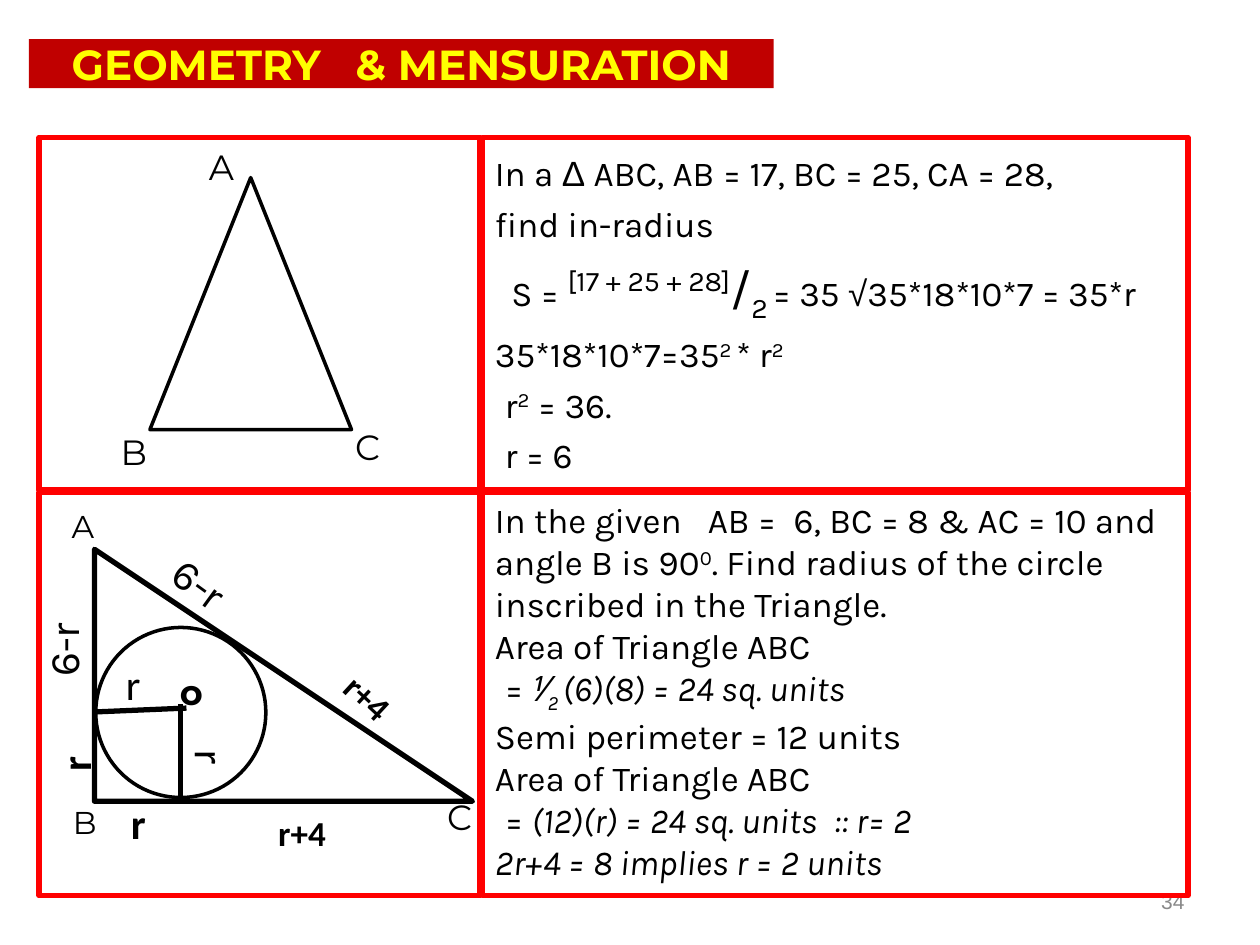
"""Build a geometry slide with two worked in-radius problems."""
from lxml import etree
from pptx import Presentation
from pptx.dml.color import RGBColor
from pptx.enum.shapes import MSO_CONNECTOR, MSO_SHAPE
from pptx.enum.text import MSO_ANCHOR, MSO_AUTO_SIZE, PP_ALIGN
from pptx.oxml.ns import qn
from pptx.util import Emu, Inches, Pt

BLACK = RGBColor(0x00, 0x00, 0x00)
RED = RGBColor(0xFF, 0x00, 0x00)
DARK_RED = RGBColor(0xC0, 0x00, 0x00)
YELLOW = RGBColor(0xFF, 0xFF, 0x00)
GREY = RGBColor(0x89, 0x89, 0x89)

RECTANGLE = MSO_SHAPE.RECTANGLE
TRIANGLE = MSO_SHAPE.ISOSCELES_TRIANGLE
OVAL = MSO_SHAPE.OVAL
STRAIGHT = MSO_CONNECTOR.STRAIGHT
TOP, MIDDLE = MSO_ANCHOR.TOP, MSO_ANCHOR.MIDDLE
LEFT, CENTER, RIGHT = PP_ALIGN.LEFT, PP_ALIGN.CENTER, PP_ALIGN.RIGHT

COLUMNS, ROWS = 100, 75
SUPER, SUB = {"base": 30}, {"base": -25}
ITALIC = {"italic": True}
SYMBOL = {"font": "Arial"}

IN_RADIUS = [
    (0, [("In a ", {}), ("Δ", SYMBOL), (" ABC, AB = 17, BC = 25, CA = 28,", {})]),
    (0, [("find in-radius", {})]),
    (0.13, [("S = ", {}), ("[17 + 25 + 28]", {"size": 28, **SUPER}), ("/", {"size": 28}),
            ("2", {"size": 28, **SUB}), (" ", SUB), ("= 35 ", {}), ("√", SYMBOL),
            ("35*18*10*7 = 35*r", {})]),
    (0, [("35*18*10*7=35", {}), ("2 ", SUPER), ("* r", {}), ("2", SUPER)]),
    (0.08, [("r", {}), ("2", SUPER), (" = 36.", {})]),
    (0.08, [("r = 6", {})]),
]
INSCRIBED_CIRCLE = [
    (0, [("In the given", {}), (" ", {"gap": 10}), ("AB =", {}), (" ", {"gap": 5}),
         ("6, BC = 8 & AC = 10 and angle B is 90", {}), ("0", SUPER),
         (". Find radius of the circle inscribed in the Triangle.", {})]),
    (0, [("Area of Triangle ABC", {})]),
    (0.08, [("= ", {}), ("⅟", ITALIC), ("2 ", {**ITALIC, **SUB}),
            ("(6)(8) = 24 sq. units", ITALIC)]),
    (0, [("Semi perimeter = 12 units", {})]),
    (0, [("Area of Triangle ABC", {})]),
    (0.08, [("= ", {}), ("(12)(r) = 24 sq. units", ITALIC), (" ", {**ITALIC, "gap": 5}),
            (":: r= 2", ITALIC)]),
    (0, [("2r+4 = 8 implies r = 2 units", ITALIC)]),
]


class Page:
    """Hold the deck style and the current slide, and draw its elements."""

    def __init__(self, deck):
        self.slide = deck.slides.add_slide(deck.slide_layouts[5])
        self.shapes = self.slide.shapes
        self.column = deck.slide_width / COLUMNS
        self.row = deck.slide_height / ROWS

    def place(self, left, top, width, height):
        return (Emu(round(left * self.column)), Emu(round(top * self.row)),
                Emu(round(width * self.column)), Emu(round(height * self.row)))

    def style(self, span, size=20, font="Karla", color=BLACK, bold=False,
              italic=False, base=0, gap=0):
        span.font.size, span.font.name = Pt(size), font
        span.font.bold, span.font.italic = bold, italic
        span.font.color.rgb = color
        properties = span.font._element
        if base:
            properties.set("baseline", str(base * 1000))
        if gap:
            properties.set("spc", str(gap * 100))

    def title(self, spans, at):
        box = self.shapes.title
        box.left, box.top, box.width, box.height = self.place(*at)
        box.fill.solid()
        box.fill.fore_color.rgb = DARK_RED
        frame = box.text_frame
        frame.auto_size, frame.vertical_anchor = MSO_AUTO_SIZE.NONE, MIDDLE
        para = frame.paragraphs[0]
        para.alignment = CENTER
        for text, gap in spans:
            span = para.add_run()
            span.text = text
            self.style(span, 24, "Montserrat", YELLOW, bold=True, gap=gap)

    def outline(self, kind, at, color=BLACK, weight=3, apex=None):
        shape = self.shapes.add_shape(kind, *self.place(*at))
        shape.shadow.inherit = False
        shape.fill.background()
        shape.line.color.rgb, shape.line.width = color, Pt(weight)
        if apex is not None:
            shape.adjustments[0] = apex
        return shape

    def panel(self, at, lines=(), spacing=1.0):
        frame = self.outline(RECTANGLE, at, RED).text_frame
        frame.word_wrap, frame.vertical_anchor = True, TOP
        for number, (indent, spans) in enumerate(lines):
            para = frame.add_paragraph() if number else frame.paragraphs[0]
            para.alignment, para.line_spacing = LEFT, spacing
            if indent:
                para._p.get_or_add_pPr().set("marL", str(Inches(indent)))
            for text, look in spans:
                span = para.add_run()
                span.text = text
                self.style(span, **look)

    def label(self, text, at, rotation=0, align=LEFT, **look):
        box = self.shapes.add_textbox(*self.place(*at))
        box.rotation = rotation
        frame = box.text_frame
        frame.word_wrap, frame.vertical_anchor = True, MIDDLE
        frame.text = text
        para = frame.paragraphs[0]
        para.alignment = align
        self.style(para.runs[0], **look)

    def segment(self, start, end):
        line = self.shapes.add_connector(STRAIGHT, *self.place(*start, *end))
        line.line.color.rgb, line.line.width = BLACK, Pt(3)
        etree.SubElement(line._element.spPr, qn("a:effectLst"))


def main():
    deck = Presentation()
    deck.slide_width, deck.slide_height = Inches(10), Inches(7.5)
    page = Page(deck)
    page.title([("GEOMETRY", 0), (" ", 13), ("& MENSURATION", 0)], (2.3, 3.1, 59.1, 3.9))
    page.label("34", (71.7, 69.5, 23.3, 4), align=RIGHT, size=12, font="Arial", color=GREY)

    figure_left, text_left, upper, lower = 3.1, 38.3, 10.9, 39.1
    page.panel((text_left, upper, 56, 28), IN_RADIUS, 1.2)
    page.panel((figure_left, upper, 35, 28))
    page.panel((figure_left, lower, 35, 32))
    page.panel((text_left, lower, 56, 32), INSCRIBED_CIRCLE)

    page.outline(TRIANGLE, (11.9, 14.1, 16, 20), weight=2)
    page.outline(OVAL, (7.6, 49.8, 13.5, 13.5), weight=2)
    page.outline(TRIANGLE, (7.5, 43.6, 30, 20), apex=0)
    page.segment((14.3, 63.3), (14.3, 55.9))
    page.segment((14.8, 56.2), (7.6, 56.5))

    corners = [("B", 8.6, 34.3, 3, 20), ("A", 15.6, 11.7, 3, 20), ("C", 27.2, 33.9, 3, 20),
               ("B", 4.8, 63.3, 3.9, 18), ("A", 4.7, 39.8, 3.9, 18), ("C", 34.5, 63.3, 3, 20)]
    for text, left, top, height, size in corners:
        page.label(text, (left, top, 3, height), size=size, font="Montserrat")
    page.label("o", (13.3, 53.9, 2, 2), align=CENTER, font="Montserrat", bold=True)

    radii = [(9.4, 64.1, 0, True), (4.5, 59.6, 270, True),
             (15.4, 58.8, 90, False), (9, 53.1, 0, False)]
    for left, top, rotation, bold in radii:
        page.label("r", (left, top, 2.8, 2.4), rotation, size=24, font="Calibri", bold=bold)
    for left, top, rotation in [(1.5, 49.2, 270), (12.7, 44.5, 36)]:
        page.label("6-r", (left, top, 7, 4), rotation, size=24)
    for left, top, rotation in [(26.3, 53.4, 42.7), (21.1, 64.1, 0)]:
        page.label("r+4", (left, top, 6, 4), rotation, font="Calibri", bold=True)
    deck.save("out.pptx")


if __name__ == "__main__":
    main()
